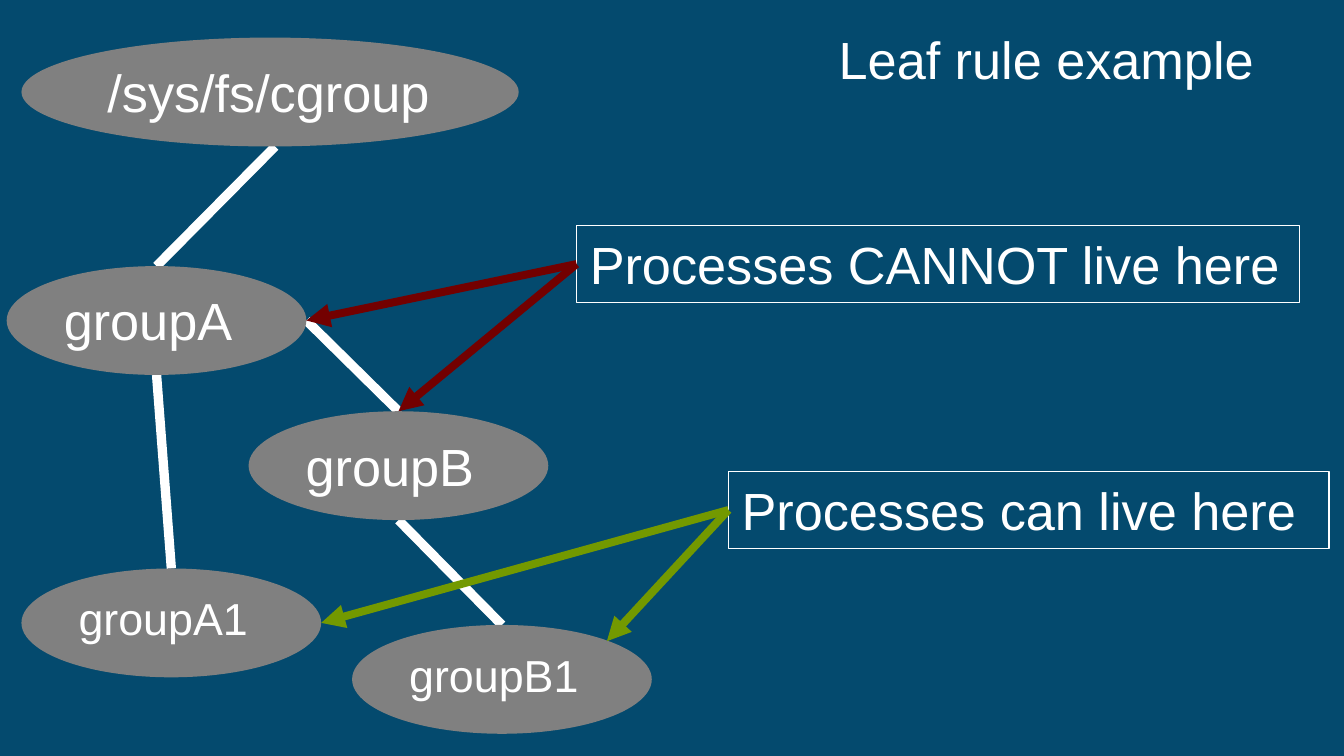
from pptx import Presentation
from pptx.dml.color import RGBColor
from pptx.enum.shapes import MSO_CONNECTOR, MSO_SHAPE
from pptx.enum.text import MSO_ANCHOR, MSO_AUTO_SIZE, PP_ALIGN
from pptx.oxml.ns import qn
from pptx.util import Inches, Pt
from lxml import etree

OVAL, RECT = MSO_SHAPE.OVAL, MSO_SHAPE.RECTANGLE
STRAIGHT = MSO_CONNECTOR.STRAIGHT
TOP, LEFT, NO_FIT = MSO_ANCHOR.TOP, PP_ALIGN.LEFT, MSO_AUTO_SIZE.NONE

THEME = {
    "font": "Arial", "large": 28, "small": 24,
    "background": "044A6E", "text": "FFFFFF", "group": "808080",
    "deny": "730000", "allow": "739900",
    "edge_width": 5, "arrow_width": 4.25, "border_width": 0.75,
}

SLIDE_W = 10
SLIDE_H = SLIDE_W * 9 / 16

TITLE = ("Leaf rule example", (6.14, 0.15, 3.41, 0.57))
GROUP_W, GROUP_H = 2.23, 0.81

# name: (left, top, width, text size)
GROUPS = {
    "/sys/fs/cgroup": (0.16, 0.28, 3.7, "large"),
    "groupA": (0.05, 1.98, GROUP_W, "large"),
    "groupB": (1.85, 3.06, GROUP_W, "large"),
    "groupA1": (0.16, 4.23, GROUP_W, "small"),
    "groupB1": (2.62, 4.65, GROUP_W, "small"),
}

# Points on a group's outline, as fractions of its width and height
SITES = {
    "top": (0.5, 0), "bottom": (0.5, 1), "root_bottom": (0.51, 1),
    "right": (1, 0.5), "top_right": (0.85, 0.15),
}

EDGES = [
    (("/sys/fs/cgroup", "root_bottom"), ("groupA", "top")),
    (("groupA", "bottom"), ("groupA1", "top")),
    (("groupA", "right"), ("groupB", "top")),
    (("groupB", "bottom"), ("groupB1", "top")),
]

# (text, box, colour, targets)
RULES = [
    ("Processes can live here", (5.42, 3.51, 4.47, 0.57), "allow",
     [("groupA1", "right"), ("groupB1", "top_right")]),
    ("Processes CANNOT live here", (4.29, 1.68, 5.38, 0.57), "deny",
     [("groupB", "top"), ("groupA", "right")]),
]


def color(name):
    return RGBColor.from_string(THEME[name])


def site(group, name):
    left, top, width, _ = GROUPS[group]
    fx, fy = SITES[name]
    return left + fx * width, top + fy * GROUP_H


def write(sp, text, size="large"):
    tf = sp.text_frame
    tf.text = text
    tf.word_wrap = True
    tf.auto_size = NO_FIT
    tf.vertical_anchor = TOP
    tf.margin_left = tf.margin_right = Inches(0.1)
    tf.margin_top = tf.margin_bottom = Inches(0.05)
    p = tf.paragraphs[0]
    p.alignment = LEFT
    p.font.name = THEME["font"]
    p.font.size = Pt(THEME[size])
    p.font.color.rgb = color("text")


def add_box(slide, kind, box, text, size="large"):
    sp = slide.shapes.add_shape(kind, *map(Inches, box))
    sp.shadow.inherit = False
    write(sp, text, size)
    return sp


def add_line(slide, start, end, line_color, width, arrow=False):
    cx = slide.shapes.add_connector(STRAIGHT, *map(Inches, (*start, *end)))
    cx.line.color.rgb = color(line_color)
    cx.line.width = Pt(THEME[width])
    if arrow:
        etree.SubElement(cx.line._get_or_add_ln(), qn("a:tailEnd"), type="triangle")
    etree.SubElement(cx._element.spPr, qn("a:effectLst"))


def main():
    prs = Presentation()
    prs.slide_width, prs.slide_height = Inches(SLIDE_W), Inches(SLIDE_H)
    s = prs.slides.add_slide(prs.slide_layouts[5])
    s.background.fill.solid()
    s.background.fill.fore_color.rgb = color("background")

    text, box = TITLE
    title = s.shapes.title
    title.left, title.top, title.width, title.height = map(Inches, box)
    write(title, text)

    for start, end in EDGES:
        add_line(s, site(*start), site(*end), "text", "edge_width")

    for name, (left, top, width, size) in GROUPS.items():
        sp = add_box(s, OVAL, (left, top, width, GROUP_H), name, size)
        sp.fill.solid()
        sp.fill.fore_color.rgb = color("group")
        sp.line.fill.background()

    for text, box, rule_color, targets in RULES:
        sp = add_box(s, RECT, box, text)
        sp.fill.background()
        sp.line.color.rgb = color("text")
        sp.line.width = Pt(THEME["border_width"])
        left, top, _, height = box
        for target in targets:
            add_line(s, (left, top + height / 2), site(*target),
                     rule_color, "arrow_width", arrow=True)

    prs.save("out.pptx")


if __name__ == "__main__":
    main()
